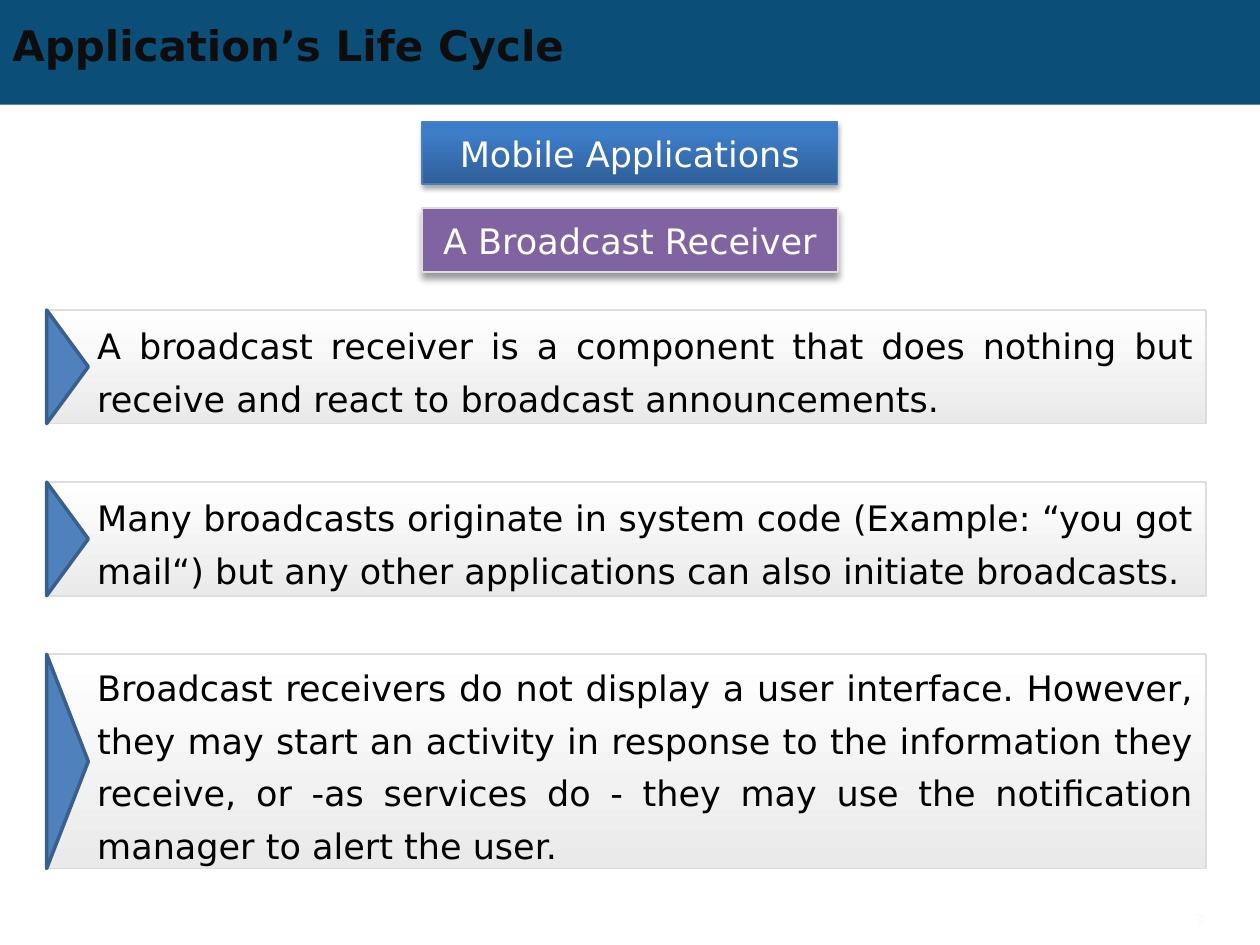
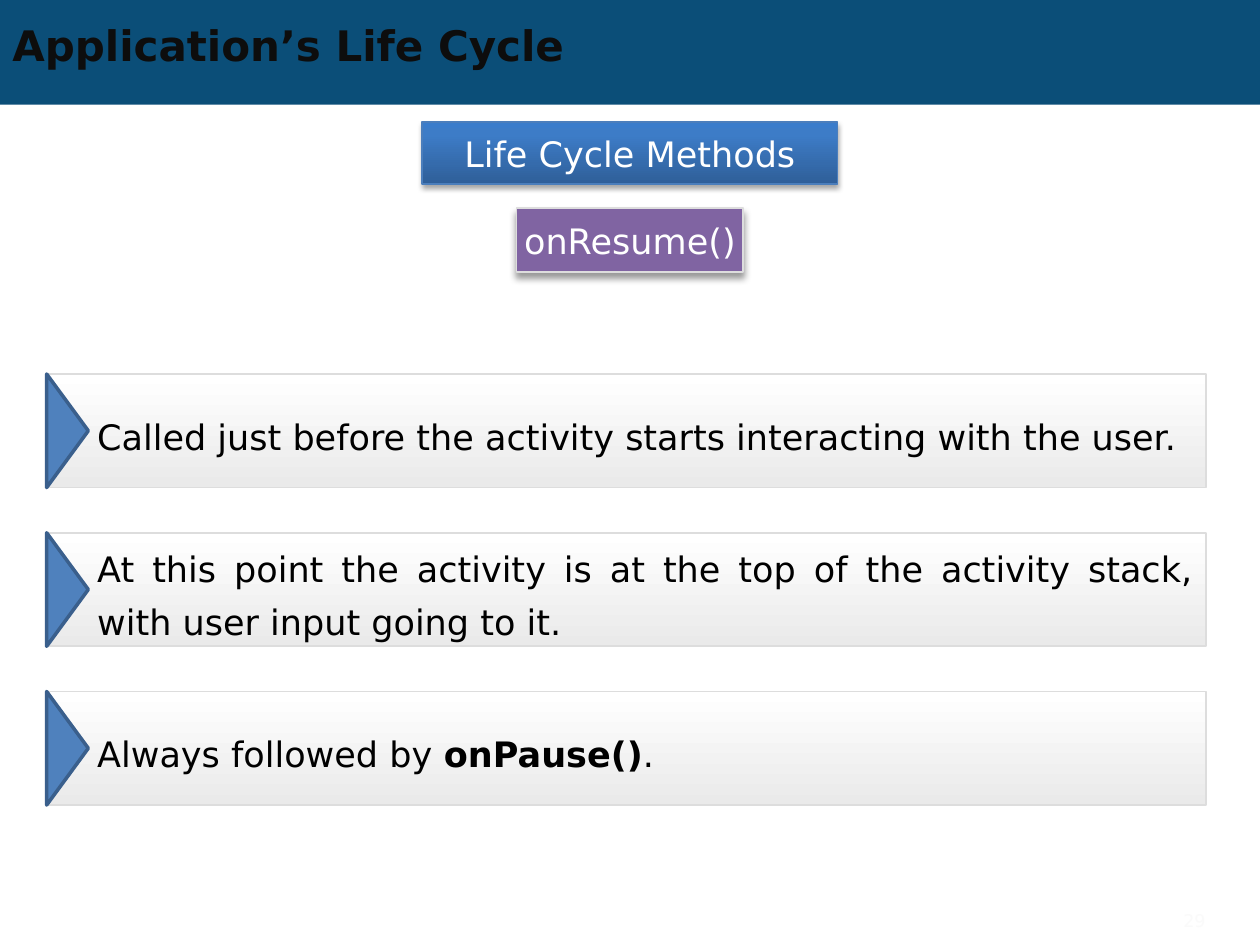
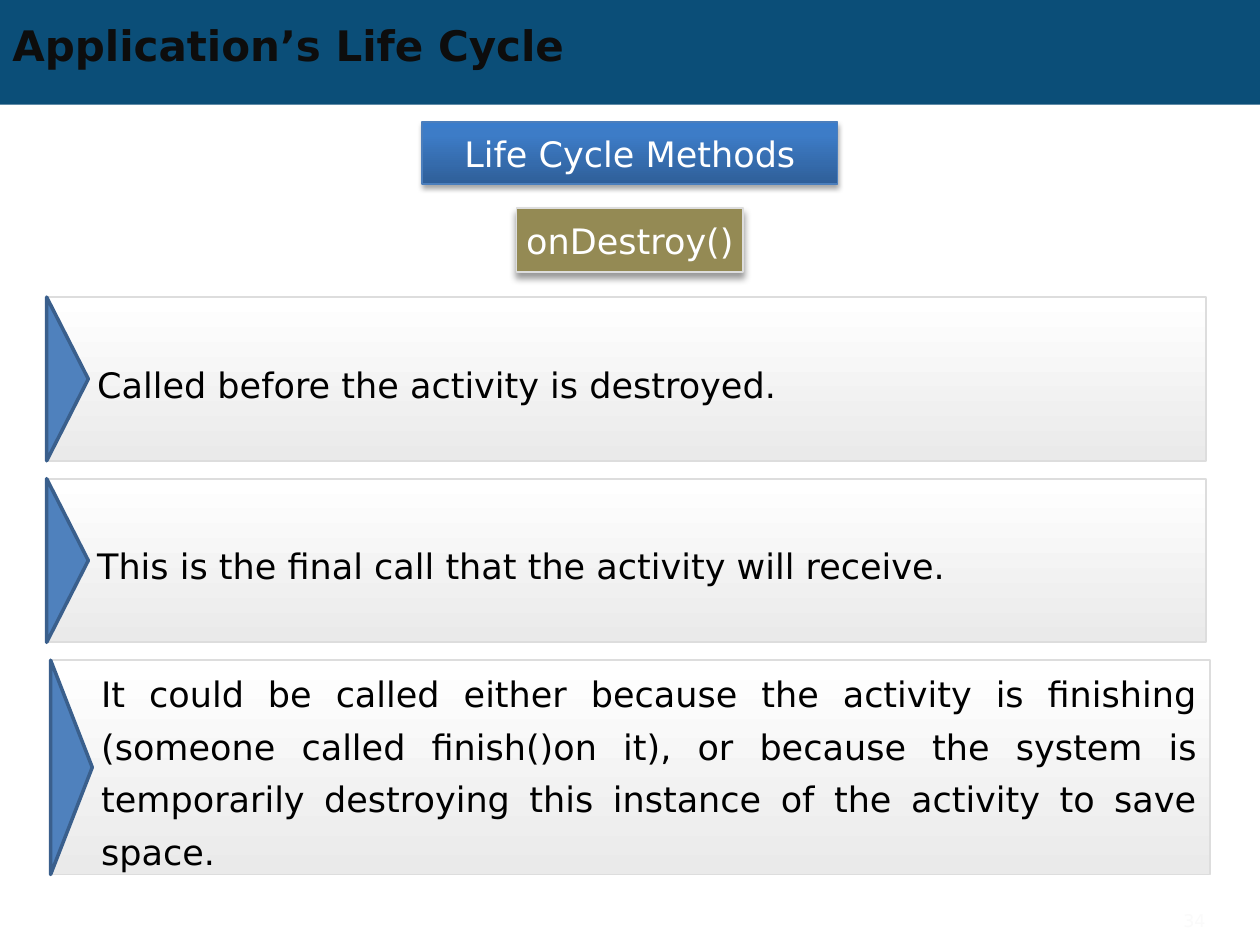
from dataclasses import dataclass

from lxml import etree
from pptx import Presentation
from pptx.dml.color import RGBColor
from pptx.enum import shapes, text
from pptx.oxml.ns import qn
from pptx.util import Cm, Pt


@dataclass(frozen=True)
class Theme:
    font: str = "DejaVu Sans"
    band: str = "0B4E78"
    title: str = "0D0D0D"
    body: str = "000000"
    white: str = "FFFFFF"
    page_number: str = "FAFAFA"
    border: str = "DDDDDD"
    purple: str = "8064A2"
    olive: str = "948A54"
    marker: str = "4F81BD"
    marker_line: str = "3A5F8C"
    topic_line: str = "4B7EBC"
    topic_stops: tuple = ((0, "2F5F99"), (80, "3D7CC7"), (100, "3A7CCB"))
    panel_stops: tuple = ((0, "FFFFFF"), (100, "EAEAEA"))
    title_size: int = 24
    text_size: int = 20
    number_size: int = 10
    leading: int = 30


THEME = Theme()

# Page geometry, in centimetres
PAGE_WIDTH, PAGE_HEIGHT = 25.4, 19.05
PANEL_LEFT, PANEL_WIDTH = 0.94, 23.37
MARKER_DEPTH = 0.84
SHORT, MEDIUM, TALL = 2.29, 3.3, 4.32


# Text
def write(box, content, size=THEME.text_size, color=THEME.body, bold=False,
          align=text.PP_ALIGN.LEFT, leading=None, insets=(0.25, 0.13, 0.25, 0.13)):
    """Fill a box with one paragraph; content is a string or (string, bold) spans."""
    frame = box.text_frame
    frame.word_wrap = True
    frame.vertical_anchor = text.MSO_ANCHOR.MIDDLE
    frame.margin_left, frame.margin_top, frame.margin_right, frame.margin_bottom = map(Cm, insets)
    para = frame.paragraphs[0]
    para.alignment = align
    if leading:
        para.line_spacing = Pt(leading)
    spans = [(content, bold)] if isinstance(content, str) else content
    for words, is_bold in spans:
        span = para.add_run()
        span.text = words
        span.font.name = THEME.font
        span.font.size = Pt(size)
        span.font.bold = is_bold
        span.font.color.rgb = RGBColor.from_string(color)


def add_label(page, left, top, width, height, content, **style):
    box = page.shapes.add_textbox(Cm(left), Cm(top), Cm(width), Cm(height))
    write(box, content, **style)


# Shapes
def add_color(parent, color, alpha=None):
    node = etree.SubElement(parent, qn("a:srgbClr"), val=color)
    if alpha:
        etree.SubElement(node, qn("a:alpha"), val=str(alpha * 1000))


def set_gradient(shape, stops, angle):
    shape.fill.gradient()
    gradient = shape._element.spPr.find(qn("a:gradFill"))
    stop_list = gradient.find(qn("a:gsLst"))
    for stop in list(stop_list):
        stop_list.remove(stop)
    for position, color in stops:
        add_color(etree.SubElement(stop_list, qn("a:gs"), pos=str(position * 1000)), color)
    gradient.find(qn("a:lin")).set("ang", str(angle * 60000))


def set_shadow(shape, alpha, blur, distance):
    effects = shape._element.spPr.find(qn("a:effectLst"))
    shadow = etree.SubElement(effects, qn("a:outerShdw"), blurRad=str(Pt(blur)),
                              dist=str(Pt(distance)), dir="5400000", rotWithShape="0")
    add_color(shadow, THEME.body, alpha)


def add_block(parent, left, top, width, height, fill=None, line=None, line_width=1,
              kind=shapes.MSO_SHAPE.RECTANGLE):
    block = parent.shapes.add_shape(kind, Cm(left), Cm(top), Cm(width), Cm(height))
    block.shadow.inherit = False
    if fill:
        block.fill.solid()
        block.fill.fore_color.rgb = RGBColor.from_string(fill)
    if line:
        block.line.color.rgb = RGBColor.from_string(line)
        block.line.width = Pt(line_width)
    else:
        block.line.fill.background()
    return block


# Slide parts
def add_frame(page, number):
    add_block(page, 0, 0, PAGE_WIDTH, 2.11, fill=THEME.band)
    add_label(page, 0, 0.36, 22.86, 1.09, "Application’s Life Cycle",
              size=THEME.title_size, color=THEME.title, bold=True)
    add_label(page, 21.8, 18.05, 2.75, 1, str(number), size=THEME.number_size,
              color=THEME.page_number, align=text.PP_ALIGN.RIGHT)


def add_topic(page, name):
    width = 8.38
    topic = add_block(page, (PAGE_WIDTH - width) / 2, 2.46, width, 1.25,
                      line=THEME.topic_line, line_width=0.75)
    set_gradient(topic, THEME.topic_stops, 270)
    set_shadow(topic, alpha=35, blur=3.1, distance=1.8)
    write(topic, name, color=THEME.white, align=text.PP_ALIGN.CENTER)


def add_subtopic(page, name, width, fill):
    subtopic = add_block(page, (PAGE_WIDTH - width) / 2, 4.19, width, 1.3,
                         fill=fill, line=THEME.border)
    set_shadow(subtopic, alpha=40, blur=4, distance=3)
    write(subtopic, name, color=THEME.white, align=text.PP_ALIGN.CENTER, insets=(0, 0, 0, 0))


def add_panel(page, top, height, content, shift=0):
    """A shaded panel with a triangle pointing in from its left edge."""
    group = page.shapes.add_group_shape()
    left = PANEL_LEFT + shift
    panel = add_block(group, left, top, PANEL_WIDTH, height, line=THEME.border)
    set_gradient(panel, THEME.panel_stops, 90)
    write(panel, content, align=text.PP_ALIGN.JUSTIFY, leading=THEME.leading,
          insets=(1.02, 0, 0.25, 0))
    # The triangle is turned about its centre, so its width becomes the panel height
    marker = add_block(group, left + (MARKER_DEPTH - height) / 2,
                       top + (height - MARKER_DEPTH) / 2, height, MARKER_DEPTH,
                       fill=THEME.marker, line=THEME.marker_line, line_width=2,
                       kind=shapes.MSO_SHAPE.ISOSCELES_TRIANGLE)
    marker.rotation = 90


def add_panels(page, top, gap, panels):
    for height, content, *shift in panels:
        add_panel(page, top, height, content, *shift)
        top += height + gap


def add_page(deck, number, topic, subtopic, subtopic_width, subtopic_fill, top, gap, panels):
    page = deck.slides.add_slide(deck.slide_layouts[6])
    add_frame(page, number)
    add_topic(page, topic)
    add_subtopic(page, subtopic, subtopic_width, subtopic_fill)
    add_panels(page, top, gap, panels)


def main():
    deck = Presentation()
    deck.slide_width, deck.slide_height = Cm(PAGE_WIDTH), Cm(PAGE_HEIGHT)

    # Broadcast receiver
    add_page(deck, 7, "Mobile Applications", "A Broadcast Receiver", 8.38, THEME.purple,
             top=6.25, gap=1.18, panels=[
                 (SHORT, "A broadcast receiver is a component that does nothing but "
                         "receive and react to broadcast announcements."),
                 (SHORT, "Many broadcasts originate in system code (Example: “you got "
                         "mail“) but any other applications can also initiate broadcasts."),
                 (TALL, "Broadcast receivers do not display a user interface. However, "
                        "they may start an activity in response to the information they "
                        "receive, or -as services do - they may use the notification "
                        "manager to alert the user."),
             ])

    # onResume()
    add_page(deck, 29, "Life Cycle Methods", "onResume()", 4.57, THEME.purple,
             top=7.54, gap=0.91, panels=[
                 (SHORT, "Called just before the activity starts interacting with the user."),
                 (SHORT, "At this point the activity is at the top of the activity stack, "
                         "with user input going to it."),
                 (SHORT, [("Always followed by ", False), ("onPause()", True), (".", False)]),
             ])

    # onDestroy()
    add_page(deck, 34, "Life Cycle Methods", "onDestroy()", 4.57, THEME.olive,
             top=5.99, gap=0.36, panels=[
                 (MEDIUM, "Called before the activity is destroyed."),
                 (MEDIUM, "This is the final call that the activity will receive."),
                 (TALL, "It could be called either because the activity is finishing "
                        "(someone called finish()on it), or because the system is "
                        "temporarily destroying this instance of the activity to save "
                        "space.", 0.08),
             ])

    deck.save("out.pptx")


if __name__ == "__main__":
    main()
